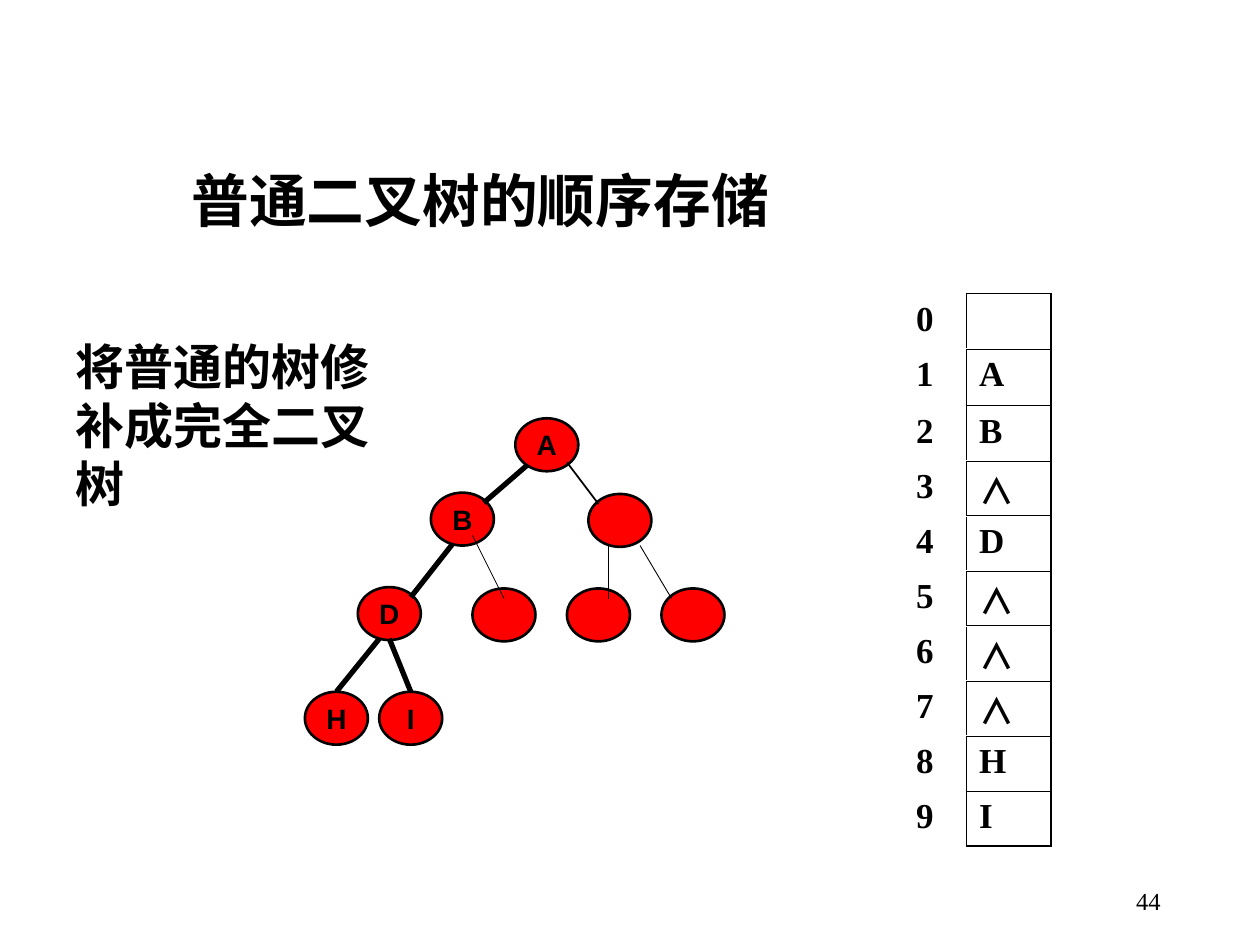
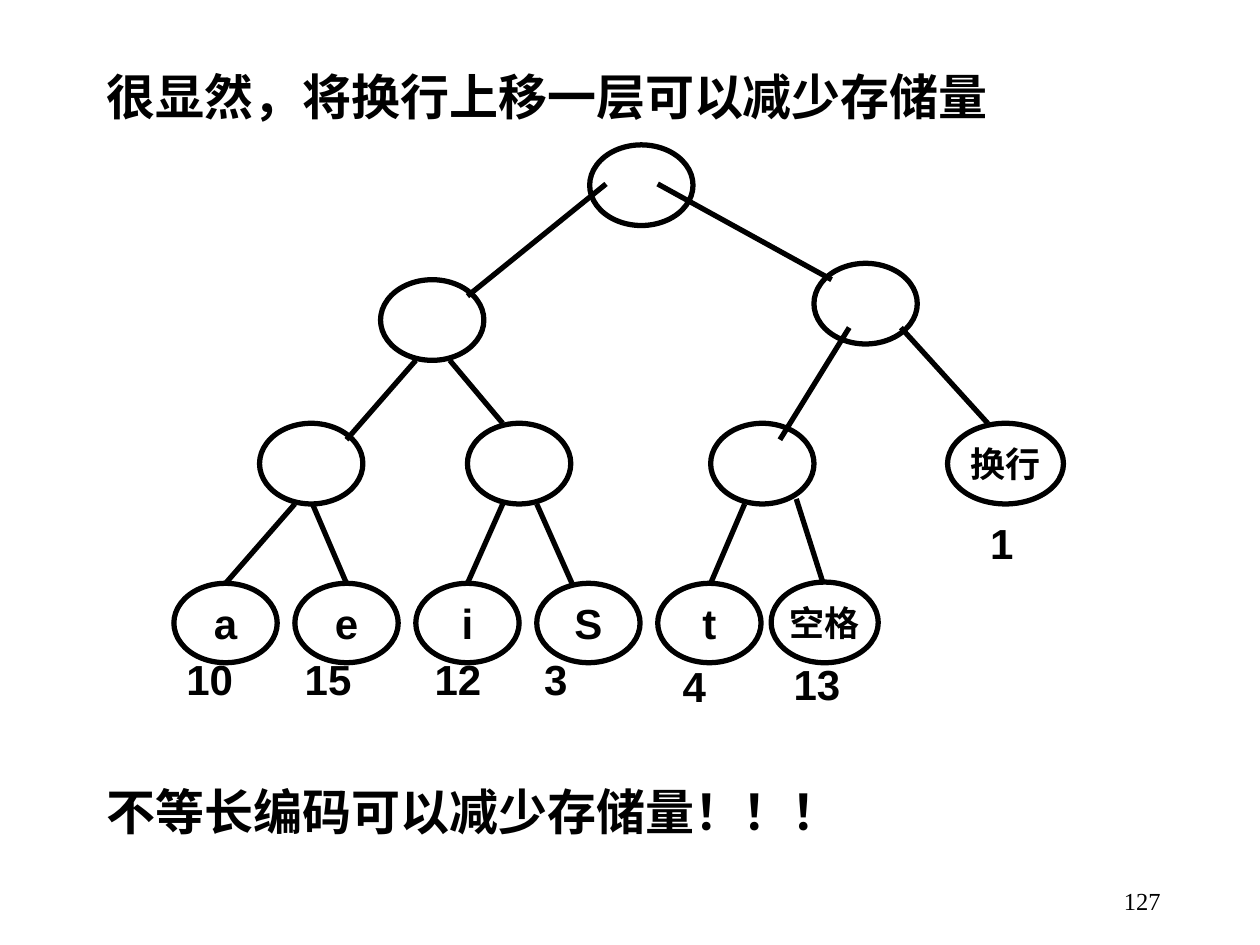
from lxml.etree import SubElement
from pptx import Presentation
from pptx.dml.color import RGBColor
from pptx.enum.shapes import MSO_CONNECTOR as CONN, MSO_SHAPE as SHAPE
from pptx.enum.text import MSO_ANCHOR as ANCHOR, PP_ALIGN as ALIGN
from pptx.oxml import parse_xml
from pptx.oxml.ns import nsdecls, qn
from pptx.util import Pt

PX = 9144  # 100 px to the inch


def px(n):
    return n * PX


def rgb(hex_value):
    return RGBColor.from_string(hex_value)


class Deck:
    INK, NODE = "000000", "FF0000"
    SANS, SERIF, CJK = "Arial", "Times New Roman", "Noto Sans CJK SC"

    def __init__(self):
        self.prs = Presentation()
        self.prs.slide_width, self.prs.slide_height = px(1000), px(750)
        self.s = None

    def slide(self, number):
        self.s = self.prs.slides.add_slide(self.prs.slide_layouts[6])
        self.text((706, 695, 225, 40), str(number), 14, self.SERIF, bold=False,
                  align=ALIGN.RIGHT, anchor=ANCHOR.MIDDLE)

    def fill_text(self, tf, text, size, font, bold=True, align=ALIGN.LEFT, spacing=None):
        p = tf.paragraphs[0]
        p.alignment, p.line_spacing = align, spacing
        r = p.add_run()
        r.text = text
        for name, value in {"name": font, "size": Pt(size), "bold": bold}.items():
            setattr(r.font, name, value)
        r.font.color.rgb = rgb(self.INK)
        SubElement(r.font._element, qn("a:ea"), typeface=self.CJK)

    def text(self, box, text, size, font, anchor=ANCHOR.TOP, **style):
        tf = self.s.shapes.add_textbox(*map(px, box)).text_frame
        tf.word_wrap, tf.vertical_anchor = True, anchor
        self.fill_text(tf, text, size, font, **style)

    def remark(self, box, text, font):
        self.text(box, text, 28, font, spacing=Pt(33.6))

    def node(self, box, label="", size=24, fill=None, weight=3):
        sp = self.s.shapes.add_shape(SHAPE.OVAL, *map(px, box))
        sp.shadow.inherit = False
        if fill:
            sp.fill.solid()
            sp.fill.fore_color.rgb = rgb(fill)
        else:
            sp.fill.background()
        sp.line.color.rgb, sp.line.width = rgb(self.INK), Pt(weight)
        if label:
            tf = sp.text_frame
            form = {"word_wrap": False, "vertical_anchor": ANCHOR.MIDDLE,
                    "margin_left": 0, "margin_right": 0}
            for name, value in form.items():
                setattr(tf, name, value)
            self.fill_text(tf, label, size, self.SANS, align=ALIGN.CENTER)

    def edges(self, ends, weight=3):
        for end in ends:
            c = self.s.shapes.add_connector(CONN.STRAIGHT, *map(px, end))
            c.line.color.rgb, c.line.width = rgb(self.INK), Pt(weight)
            SubElement(c._element.spPr, qn("a:effectLst"))

    def borders(self, cell, **widths):
        """Draw the named sides (L, R, T, B, in that order) at widths in points."""
        tc_pr = cell._tc.get_or_add_tcPr()
        for i, (side, width) in enumerate(widths.items()):
            tc_pr.insert(i, parse_xml(
                f'<a:ln{side} {nsdecls("a")} w="{int(Pt(width))}"><a:solidFill>'
                f'<a:srgbClr val="{self.INK}"/></a:solidFill></a:ln{side}>'))

    def storage_table(self, left, top, widths, heights, values):
        """Array drawn as a column of boxes, with its indexes to the left."""
        table = self.s.shapes.add_table(len(values), 2, px(left), px(top),
                                        px(sum(widths)), px(sum(heights))).table
        table.first_row = table.horz_banding = False
        for col, width in zip(table.columns, widths):
            col.width = px(width)
        last = len(values) - 1
        for i, value in enumerate(values):
            table.rows[i].height = px(heights[i])
            index, box = table.cell(i, 0), table.cell(i, 1)
            for cell in (index, box):
                cell.fill.background()
                cell.margin_left = cell.margin_right = px(10)
                cell.margin_top = cell.margin_bottom = px(5)
            self.borders(index, R=0.45)
            self.borders(box, L=0.45, R=1.08, T=0.45 if i else 1.08,
                         B=1.08 if i == last else 0.45)
            self.fill_text(index.text_frame, str(i), 20, self.SERIF)
            if value == "∧":
                box.margin_bottom = 0
                self.fill_text(box.text_frame, value, 20, self.CJK, spacing=Pt(27))
            elif value:
                self.fill_text(box.text_frame, value, 20, self.SERIF)


def sequential_storage(d):
    d.slide(44)
    d.text((142, 125, 755, 74), "普通二叉树的顺序存储", 33, d.CJK,
           anchor=ANCHOR.MIDDLE, spacing=0.9)
    d.remark((50, 262, 275, 150), "将普通的树修补成完全二叉树", d.SANS)

    def tree_node(x, y, label=""):
        d.node((x, y, 50, 42), label, 16, d.NODE, 1.5)

    for spot in [(284, 466, "D"), (342, 391, "B"), (242, 549, "H"), (301, 549, "I"),
                 (467, 392), (375, 467), (450, 467), (525, 467)]:
        tree_node(*spot)
    d.edges([(451, 341, 384, 399), (359, 432, 326, 474),
             (309, 507, 326, 549), (301, 507, 267, 549)])
    tree_node(409, 332, "A")
    d.edges([(450, 367, 475, 400)], 1)
    d.edges([(375, 425, 400, 475), (483, 433, 483, 475), (508, 433, 533, 475)], 0.5)
    d.storage_table(717, 233, (50, 67), [44, 45] + [44, 43] * 4,
                    ["", "A", "B", "∧", "D", "∧", "∧", "∧", "H", "I"])


def unequal_codes(d):
    d.slide(127)
    d.remark((75, 48, 795, 57), "很显然，将换行上移一层可以减少存储量", d.SERIF)
    d.remark((75, 615, 819, 57), "不等长编码可以减少存储量！！！", d.SERIF)

    for x, y in [(468, 115), (302, 222), (646, 209), (206, 336), (371, 336), (564, 336)]:
        d.node((x, y, 82, 64))
    for i, letter in enumerate("aeiSt"):
        d.node((138 + 96 * i, 463, 82, 63), letter)
    d.node((612, 462, 85, 64), "空格", 20)
    d.node((752, 336, 92, 64), "换行", 20)

    d.edges([(481, 146, 371, 235), (522, 146, 660, 222),
             (330, 286, 275, 349), (357, 286, 399, 336),
             (674, 260, 619, 349), (715, 260, 784, 336),
             (234, 400, 179, 463), (248, 400, 275, 463),
             (399, 400, 371, 463), (426, 400, 454, 463),
             (591, 400, 564, 463), (632, 396, 653, 462)])
    for x, y, count in [(138, 514, 10), (232, 514, 15), (335, 514, 12), (422, 514, 3),
                        (532, 519, 4), (620, 518, 13), (776, 406, 1)]:
        d.text((x, y, 88, 54), str(count), 24, d.SANS)


def main():
    d = Deck()
    sequential_storage(d)
    unequal_codes(d)
    d.prs.save("out.pptx")


if __name__ == "__main__":
    main()
